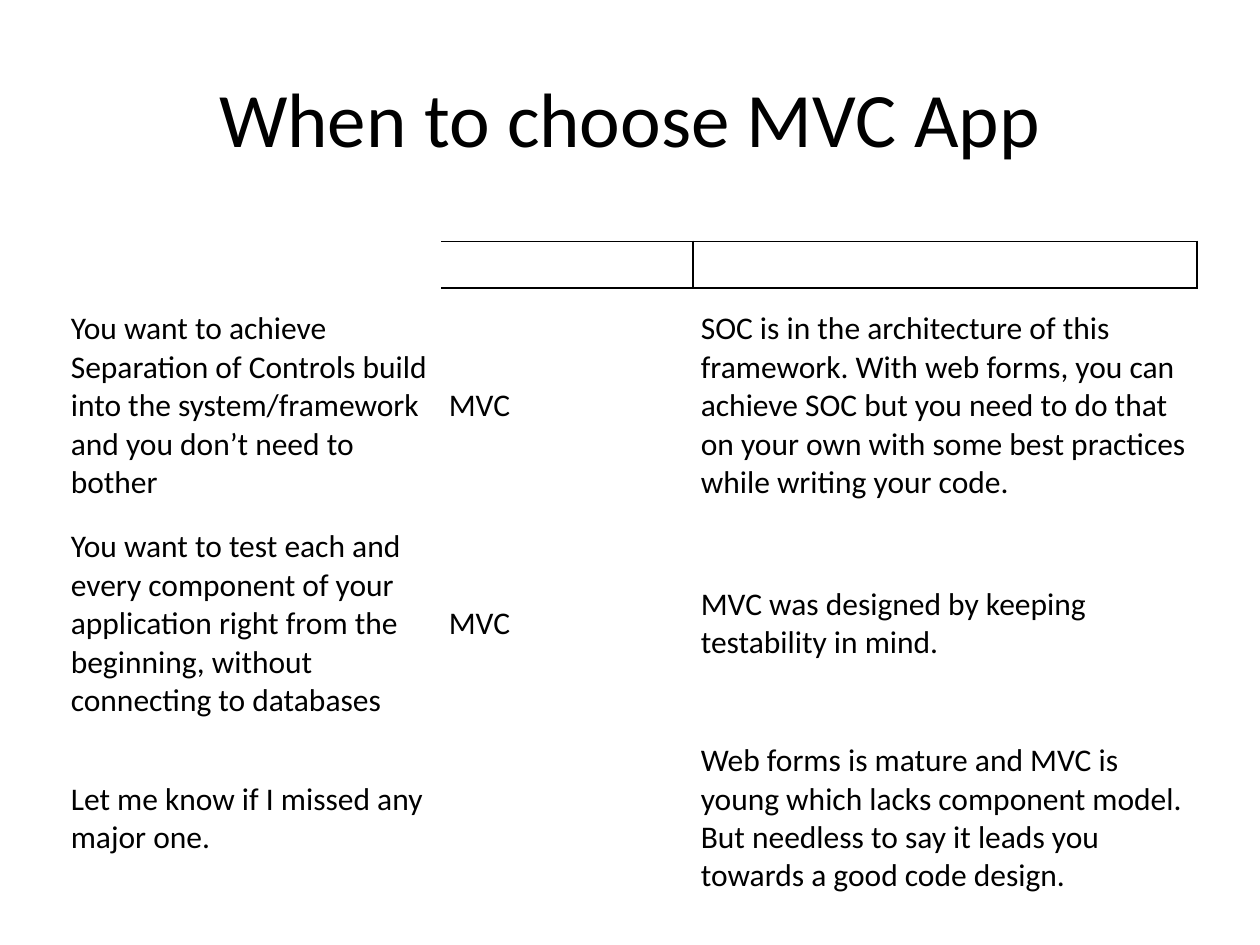
import pptx
import pptx.dml.color
import pptx.enum.text
import pptx.oxml
import pptx.oxml.ns
import pptx.util

Pt = pptx.util.Pt
MIDDLE = pptx.enum.text.MSO_ANCHOR.MIDDLE
BLACK = pptx.dml.color.RGBColor(0, 0, 0)
FONT = "Calibri"
NO_STYLE = "{2D5ABB26-0587-4C30-8999-92F81FD0307C}"

# Content
TITLE = "When to choose MVC App"
ROWS = [
    ("", "", ""),
    ("You want to achieve Separation of Controls build into the system/framework "
     "and you don’t need to bother",
     "MVC",
     "SOC is in the architecture of this framework. With web forms, you can achieve "
     "SOC but you need to do that on your own with some best practices while "
     "writing your code."),
    ("You want to test each and every component of your application right from the "
     "beginning, without connecting to databases",
     "MVC",
     "MVC was designed by keeping testability in mind."),
    ("Let me know if I missed any major one.",
     "",
     "Web forms is mature and MVC is young which lacks component model. But needless "
     "to say it leads you towards a good code design."),
]
COL_WIDTHS = [216, 144, 288]
ROW_HEIGHTS = [26.5, 135, 114, 108.5]
LEFT, WIDTH = 36, sum(COL_WIDTHS)
HEADER_BORDERS = {"lnR": 1.5, "lnT": 1, "lnB": 1}  # in schema order


def style(p, size):
    p.font.name = FONT
    p.font.size = Pt(size)
    p.font.color.rgb = BLACK


def add_border(cell, side, width):
    line = pptx.oxml.parse_xml(
        f'<a:{side} {pptx.oxml.ns.nsdecls("a")} w="{Pt(width)}"><a:solidFill>'
        f'<a:srgbClr val="{BLACK}"/></a:solidFill></a:{side}>')
    tc_pr = cell._tc.get_or_add_tcPr()
    tc_pr.insert(len(tc_pr.xpath("a:lnL|a:lnR|a:lnT|a:lnB")), line)


prs = pptx.Presentation()
prs.slide_width, prs.slide_height = Pt(720), Pt(540)
s = prs.slides.add_slide(prs.slide_layouts[6])

# Title
tf = s.shapes.add_textbox(Pt(LEFT), Pt(21.6), Pt(WIDTH), Pt(90)).text_frame
tf.word_wrap = True
tf.vertical_anchor = MIDDLE
p = tf.paragraphs[0]
p.text = TITLE
p.alignment = pptx.enum.text.PP_ALIGN.CENTER
style(p, 44)

# Table
table = s.shapes.add_table(len(ROWS), len(COL_WIDTHS), Pt(LEFT), Pt(138),
                           Pt(WIDTH), Pt(sum(ROW_HEIGHTS))).table
table.first_row = table.horz_banding = False
table._tbl.tblPr.xpath("a:tableStyleId")[0].text = NO_STYLE
for col, width in zip(table.columns, COL_WIDTHS):
    col.width = Pt(width)
for i, (texts, height) in enumerate(zip(ROWS, ROW_HEIGHTS)):
    table.rows[i].height = Pt(height)
    for j, text in enumerate(texts):
        cell = table.cell(i, j)
        cell.fill.background()
        cell.vertical_anchor = MIDDLE
        cell.margin_left = cell.margin_right = Pt(4.5)
        cell.margin_top = cell.margin_bottom = Pt(2.25)
        p = cell.text_frame.paragraphs[0]
        p.text = text
        style(p, 18)

# Outline of the two right-hand header cells
for j in (1, 2):
    for side, width in HEADER_BORDERS.items():
        add_border(table.cell(0, j), side, width)

prs.save("out.pptx")
